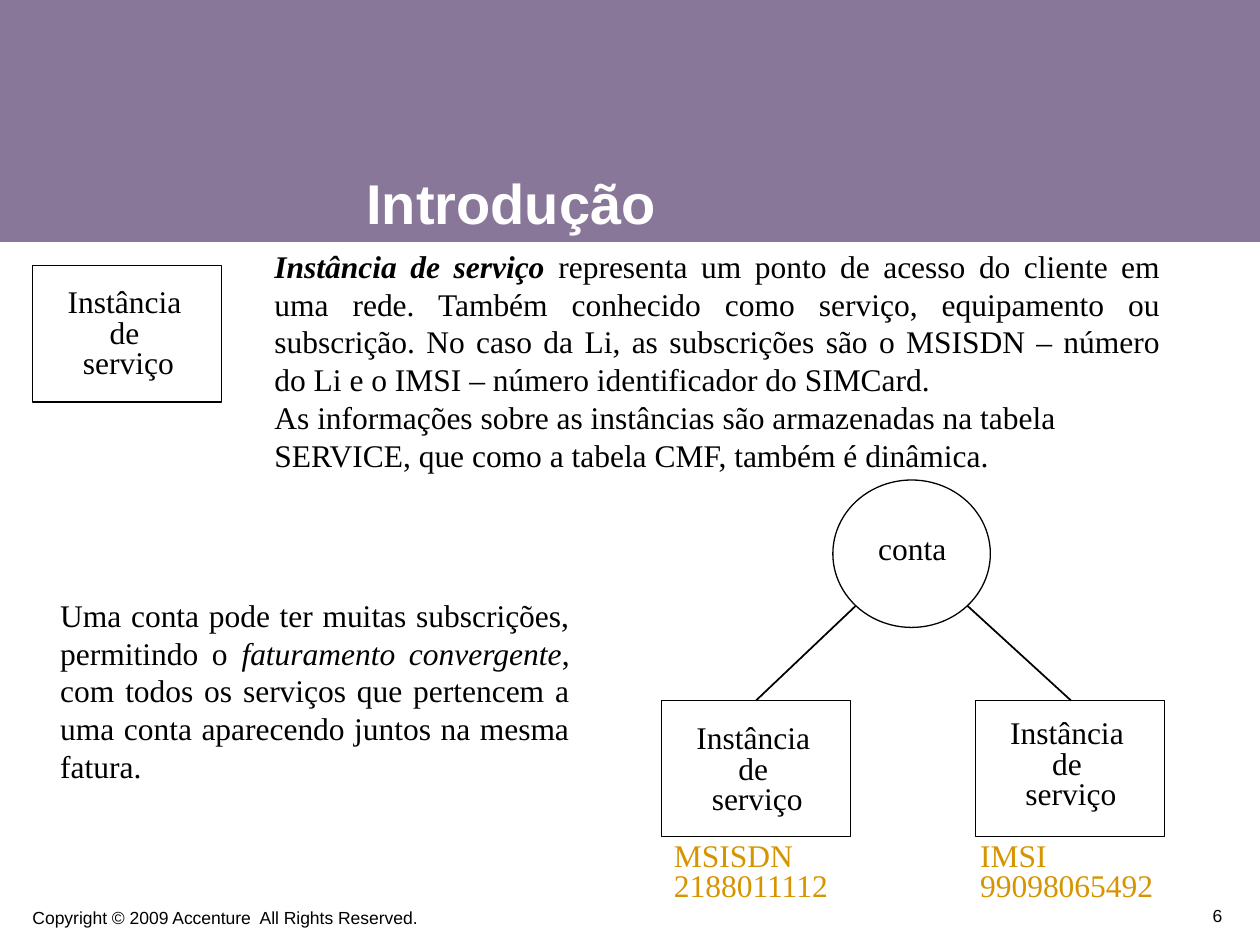
from dataclasses import dataclass

from lxml.etree import SubElement
from pptx import Presentation
from pptx.dml.color import RGBColor
from pptx.enum.shapes import MSO_CONNECTOR, MSO_SHAPE
from pptx.enum.text import MSO_ANCHOR, MSO_AUTO_SIZE, PP_ALIGN
from pptx.oxml.ns import qn
from pptx.util import Inches, Pt


@dataclass(frozen=True)
class Theme:
    band: RGBColor = RGBColor(0x88, 0x77, 0x99)
    ink: RGBColor = RGBColor(0, 0, 0)
    white: RGBColor = RGBColor(255, 255, 255)
    gold: RGBColor = RGBColor(0xD6, 0x94, 0x00)
    sans: str = "Arial"
    serif: str = "Times New Roman"
    title: int = 32
    body: int = 18
    small: int = 10
    edge: float = 0.75
    link: float = 1


THEME = Theme()


@dataclass(frozen=True)
class Area:
    left: float
    top: float
    width: float
    height: float

    def lengths(self) -> list:
        return [Inches(n) for n in (self.left, self.top, self.width, self.height)]


@dataclass(frozen=True)
class Style:
    size: int = THEME.body
    face: str = THEME.serif
    color: RGBColor = THEME.ink
    bold: bool = False
    align: PP_ALIGN = PP_ALIGN.LEFT
    pitch: float = 1.0


@dataclass(frozen=True)
class Span:
    text: str
    bold: bool = False
    slant: bool = False


@dataclass(frozen=True)
class Node:
    left: float
    top: float
    drop: float  # from the top of the frame to its label


LABEL = Style(align=PP_ALIGN.CENTER, pitch=0.8)
CODE = Style(color=THEME.gold, pitch=0.8)
FOOT = Style(size=THEME.small, face=THEME.sans, pitch=0.8)
PAGE = Style(size=THEME.small, face=THEME.sans, align=PP_ALIGN.RIGHT, pitch=0.8)
TITLE = Style(size=THEME.title, face=THEME.sans, color=THEME.white, bold=True)
PROSE = Style(align=PP_ALIGN.JUSTIFY)

NODES = [Node(0.26, 2.11, 0.14), Node(5.25, 5.56, 0.15), Node(7.74, 5.56, 0.11)]
CODES = [
    (Area(5.25, 6.64, 1.65, 0.58), ["MSISDN", "2188011112"]),
    (Area(7.68, 6.64, 1.65, 0.58), ["IMSI", "99098065492"]),
]
LINKS = [((6.79, 4.81), (6, 5.56)), ((7.68, 4.81), (8.5, 5.56))]

INTRO = [
    Span("Instância de serviço ", bold=True, slant=True),
    Span(
        "representa um ponto de acesso do cliente em uma rede. Também conhecido "
        "como serviço, equipamento ou subscrição. No caso da Li, as subscrições "
        "são o MSISDN – número do Li e o IMSI – número identificador do SIMCard."
    ),
]
TABLE = (
    "As informações sobre as instâncias são armazenadas na tabela SERVICE, "
    "que como a tabela CMF, também é dinâmica."
)
BILL = [
    Span("Uma conta pode ter muitas subscrições, permitindo o "),
    Span("faturamento convergente", slant=True),
    Span(
        ", com todos os serviços que pertencem a uma conta aparecendo juntos "
        "na mesma fatura."
    ),
]


def add_para(frame, first: bool, spans: list[Span], style: Style) -> None:
    para = frame.paragraphs[0] if first else frame.add_paragraph()
    para.alignment = style.align
    para.line_spacing = style.pitch
    for span in spans:
        run = para.add_run()
        run.text = span.text
        font = run.font
        font.name, font.size = style.face, Pt(style.size)
        font.color.rgb = style.color
        font.bold = style.bold or span.bold
        font.italic = span.slant


def add_text(slide, area: Area, paras: list,
             anchor: MSO_ANCHOR = MSO_ANCHOR.TOP) -> None:
    """Add a text box from pairs of spans and style, one pair a paragraph."""
    frame = slide.shapes.add_textbox(*area.lengths()).text_frame
    frame.word_wrap = True
    frame.auto_size = MSO_AUTO_SIZE.NONE
    frame.vertical_anchor = anchor
    for i, (spans, style) in enumerate(paras):
        add_para(frame, i == 0, spans, style)


def add_lines(slide, area: Area, lines: list[str], style: Style) -> None:
    add_text(slide, area, [([Span(line)], style) for line in lines])


def add_frame(slide, kind: MSO_SHAPE, area: Area) -> None:
    shape = slide.shapes.add_shape(kind, *area.lengths())
    shape.shadow.inherit = False
    shape.fill.background()
    shape.line.color.rgb = THEME.ink
    shape.line.width = Pt(THEME.edge)


def add_band(slide) -> None:
    band = slide.shapes.add_shape(MSO_SHAPE.RECTANGLE, *Area(0, 0, 10, 1.92).lengths())
    band.shadow.inherit = False
    band.fill.solid()
    band.fill.fore_color.rgb = THEME.band
    band.line.fill.background()


def add_node(slide, node: Node) -> None:
    add_frame(slide, MSO_SHAPE.RECTANGLE, Area(node.left, node.top, 1.5, 1.08))
    area = Area(node.left + 0.14, node.top + node.drop, 1.24, 0.82)
    add_lines(slide, area, ["Instância ", "de ", "serviço"], LABEL)


def add_link(slide, start: tuple, end: tuple) -> None:
    ends = [Inches(n) for n in (*start, *end)]
    link = slide.shapes.add_connector(MSO_CONNECTOR.STRAIGHT, *ends)
    link.line.color.rgb = THEME.ink
    link.line.width = Pt(THEME.link)
    SubElement(link._element.spPr, qn("a:effectLst"))


def main() -> None:
    deck = Presentation()
    deck.slide_width, deck.slide_height = Inches(10), Inches(7.5)
    slide = deck.slides.add_slide(deck.slide_layouts[6])

    add_band(slide)
    add_lines(slide, Area(0.16, 7.18, 3.4, 0.24),
              ["Copyright © 2009 Accenture  All Rights Reserved."], FOOT)
    add_text(slide, Area(2.81, 0.67, 4.88, 1.25), [([Span("Introdução")], TITLE)],
             MSO_ANCHOR.BOTTOM)
    add_text(slide, Area(7.95, 7.11, 1.85, 0.29), [([Span("6")], PAGE)],
             MSO_ANCHOR.BOTTOM)
    add_text(slide, Area(2.08, 1.91, 7.23, 1.9),
             [(INTRO, PROSE), ([Span(TABLE)], Style())])
    add_text(slide, Area(0.38, 4.68, 4.24, 1.6), [(BILL, PROSE)])

    for area, lines in CODES:
        add_lines(slide, area, lines, CODE)
    add_frame(slide, MSO_SHAPE.OVAL, Area(6.61, 3.81, 1.25, 1.17))
    add_lines(slide, Area(6.82, 4.21, 0.84, 0.34), ["conta"], LABEL)
    for node in NODES:
        add_node(slide, node)
    for start, end in LINKS:
        add_link(slide, start, end)

    deck.save("out.pptx")


if __name__ == "__main__":
    main()
